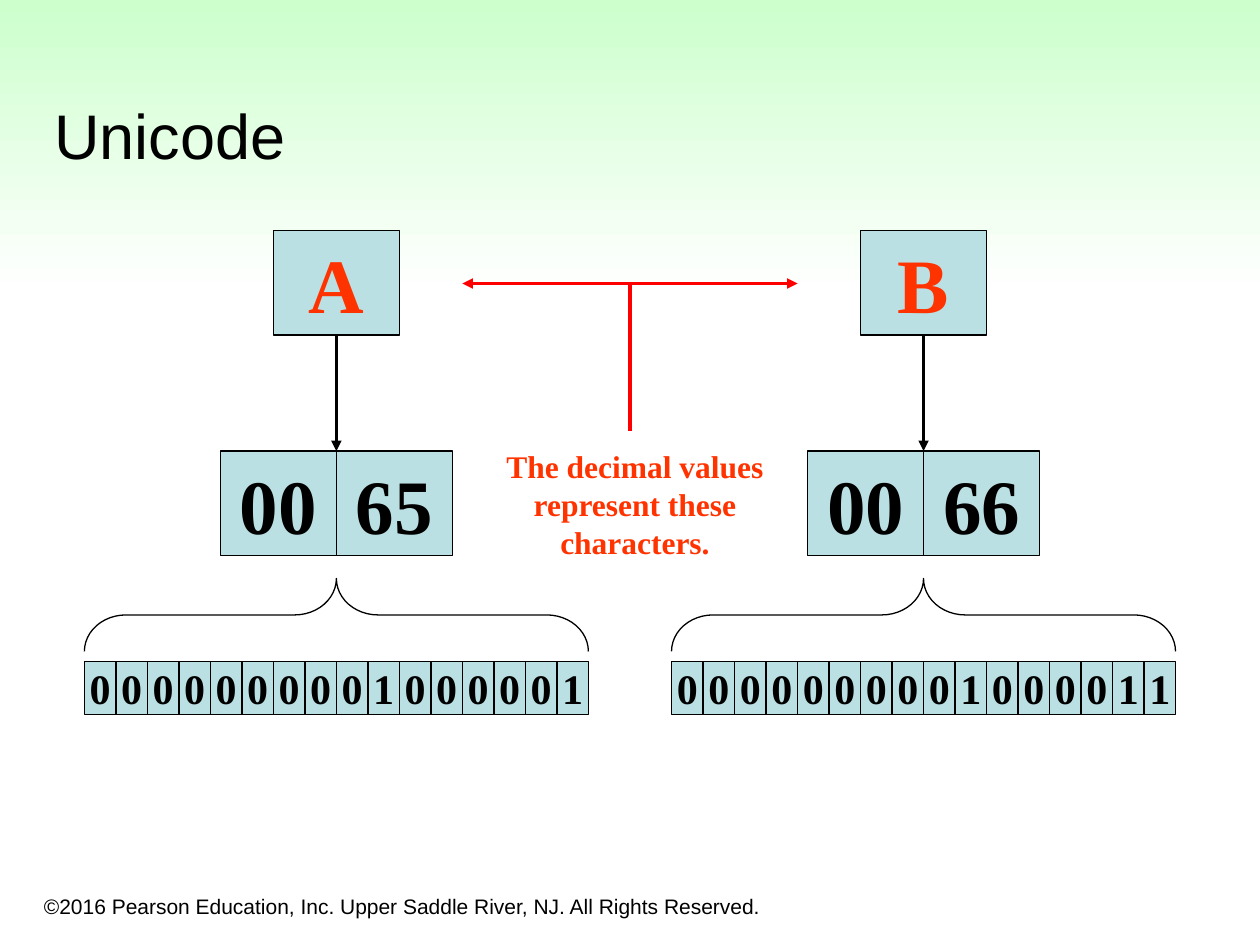
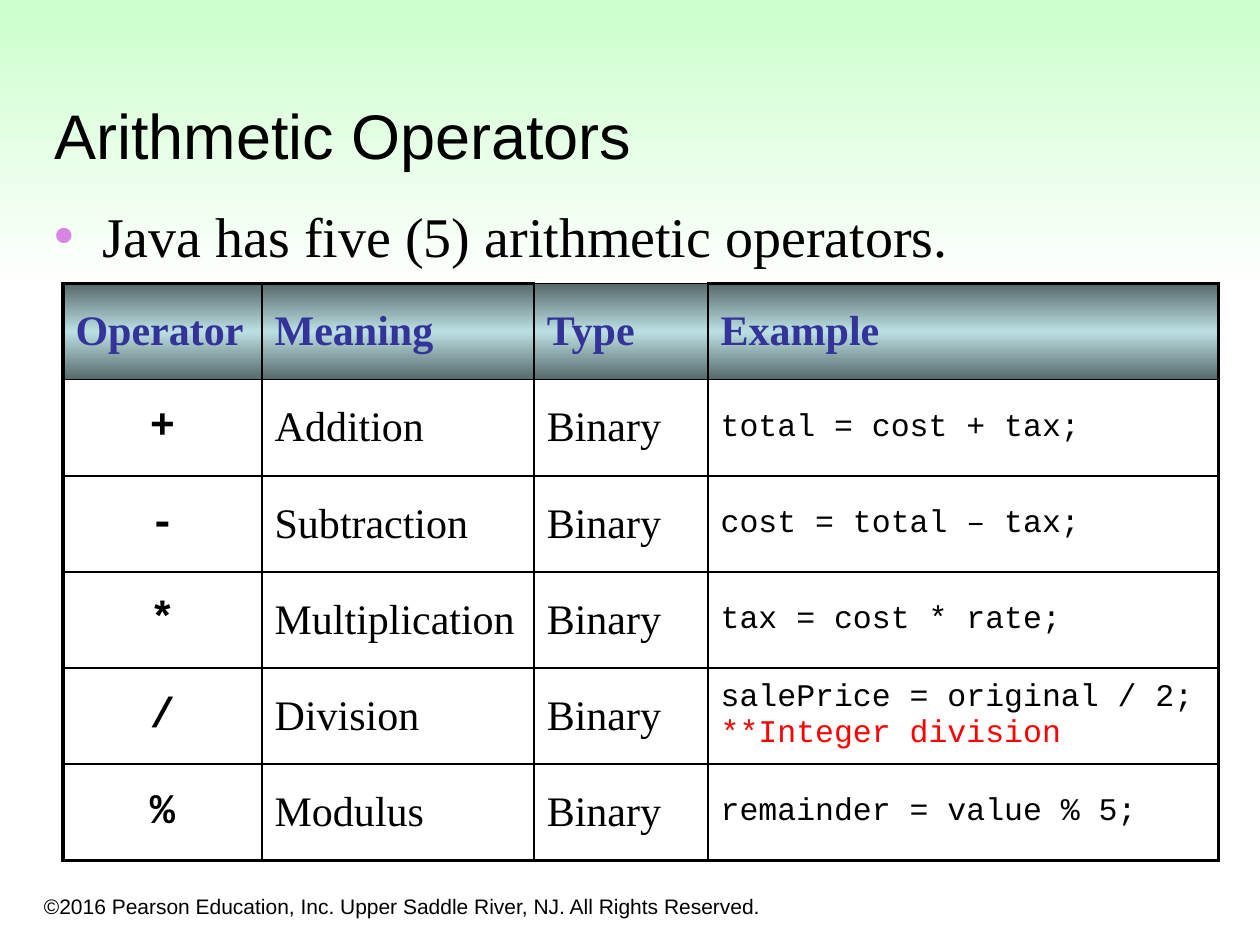
from copy import deepcopy
from dataclasses import dataclass

from lxml import etree
from pptx import Presentation
from pptx.dml.color import RGBColor
from pptx.enum import shapes, text
from pptx.oxml.ns import qn
from pptx.util import Inches, Pt

# Shared colours and fonts
BLACK, RED, ORANGE = "000000", "FF0000", "FF3300"
TEAL, DARK_TEAL, INDIGO, ORCHID = "BBE0E3", "576869", "333399", "D885E3"
MINT, WHITE = "CCFFCC", "FFFFFF"
SANS, SERIF, MONO = "Arial", "Times New Roman", "Courier New"
LEFT, CENTER = text.PP_ALIGN.LEFT, text.PP_ALIGN.CENTER
TOP, MIDDLE, BOTTOM = (text.MSO_ANCHOR.TOP, text.MSO_ANCHOR.MIDDLE,
                       text.MSO_ANCHOR.BOTTOM)
COPYRIGHT = "©2016 Pearson Education, Inc. Upper Saddle River, NJ. All Rights Reserved."


@dataclass
class CodePoint:
    """One character with its two decimal bytes and sixteen bits."""
    char: str
    center: float
    decimals: tuple
    bits: str


@dataclass
class Operator:
    symbol: str
    meaning: str
    example: str


CODE_POINTS = [
    CodePoint("A", 2.67, ("00", "65"), "0000000001000001"),
    CodePoint("B", 7.33, ("00", "66"), "0000000001000011"),
]
OPERATORS = [
    Operator("+", "Addition", "total = cost + tax;"),
    Operator("-", "Subtraction", "cost = total – tax;"),
    Operator("*", "Multiplication", "tax = cost * rate;"),
    Operator("/", "Division", "salePrice = original / 2;\n**Integer division"),
    Operator("%", "Modulus", "remainder = value % 5;"),
]


# Helpers
def rgb(color: str) -> RGBColor:
    return RGBColor.from_string(color)


def box(*lengths: float) -> tuple:
    return tuple(Inches(n) for n in lengths)


def write(tf, content: str, *, size: float, font: str = SERIF, color: str = BLACK,
          bold: bool = False, align=LEFT, wrap: bool = True) -> None:
    """Fill a text frame, one paragraph for each line."""
    tf.word_wrap = wrap
    for i, line in enumerate(content.split("\n")):
        p = tf.add_paragraph() if i else tf.paragraphs[0]
        p.alignment = align
        p.space_before = Pt(0)
        r = p.add_run()
        r.text = line
        r.font.size, r.font.name, r.font.bold = Pt(size), font, bold
        r.font.color.rgb = rgb(color)


def add_text(slide, at: tuple, content: str, *, anchor=TOP, **fmt) -> None:
    tf = slide.shapes.add_textbox(*box(*at)).text_frame
    write(tf, content, **fmt)
    tf.vertical_anchor = anchor


def gradient(fill, parent, colors: list) -> None:
    """Vertical gradient with evenly spaced stops, top to bottom."""
    fill.gradient()
    fill.gradient_angle = 270
    stop_list = parent.find(".//" + qn("a:gsLst"))
    for _ in colors[2:]:
        stop_list.append(deepcopy(stop_list[0]))
    for i, (stop, color) in enumerate(zip(fill.gradient_stops, colors)):
        stop.position = i / (len(colors) - 1)
        stop.color.rgb = rgb(color)


def add_box(slide, at: tuple, content: str, size: float, color: str = BLACK):
    sp = slide.shapes.add_shape(shapes.MSO_SHAPE.RECTANGLE, *box(*at))
    sp.shadow.inherit = False
    sp.fill.solid()
    sp.fill.fore_color.rgb = rgb(TEAL)
    sp.line.color.rgb, sp.line.width = rgb(BLACK), Pt(0.75)
    tf = sp.text_frame
    tf.margin_left = tf.margin_right = tf.margin_top = tf.margin_bottom = 0
    tf.vertical_anchor = MIDDLE
    write(tf, content, size=size, color=color, bold=True, align=CENTER, wrap=False)
    return sp


def add_line(slide, ends: tuple, color: str, width: float, arrows: tuple = ()):
    """Straight line; arrows may hold headEnd and tailEnd."""
    line = slide.shapes.add_connector(shapes.MSO_CONNECTOR.STRAIGHT, *box(*ends))
    line.line.color.rgb, line.line.width = rgb(color), Pt(width)
    for end in arrows:
        etree.SubElement(line.line._get_or_add_ln(), qn(f"a:{end}"), type="triangle")
    etree.SubElement(line._element.spPr, qn("a:effectLst"))
    return line


def place(holder, at: tuple, anchor):
    holder.left, holder.top, holder.width, holder.height = box(*at)
    tf = holder.text_frame
    tf.auto_size = text.MSO_AUTO_SIZE.NONE
    tf.vertical_anchor = anchor
    return tf


def new_slide(prs, layout: int, title: str):
    """Slide with the green band, title and copyright line."""
    slide = prs.slides.add_slide(prs.slide_layouts[layout])
    band = slide.shapes.add_shape(shapes.MSO_SHAPE.RECTANGLE, *box(0, 0, 10, 2.32))
    band.shadow.inherit = False
    band.line.fill.background()
    gradient(band.fill, band._element.spPr, [MINT, WHITE])
    slide.shapes._spTree.insert(2, band._element)
    tf = place(slide.shapes.title, (0.33, 0.33, 9.42, 1.09), BOTTOM)
    write(tf, title, size=36, font=SANS)
    add_text(slide, (0.25, 6.92, 6.08, 0.42), COPYRIGHT, anchor=BOTTOM,
             size=12, font=SANS)
    return slide


# Slide 1: characters, decimal bytes and bits
def add_code_point(slide, cp: CodePoint) -> None:
    letter = add_box(slide, (cp.center - 0.5, 1.83, 1, 0.83), cp.char, 44, ORANGE)
    for i, value in enumerate(cp.decimals):
        add_box(slide, (cp.center + (i - 1) * 0.92, 3.58, 0.92, 0.83), value, 44)
    arrow = add_line(slide, (cp.center, 2.67, cp.center, 3.58), BLACK, 1.5,
                     ("tailEnd",))
    arrow.begin_connect(letter, 2)
    for i, bit in enumerate(cp.bits):
        add_box(slide, (cp.center - 2 + i * 0.25, 5.25, 0.25, 0.42), bit, 24)
    brace = slide.shapes.add_shape(shapes.MSO_SHAPE.RIGHT_BRACE,
                                   *box(cp.center - 0.29, 2.88, 0.58, 4))
    brace.rotation = 270
    brace.adjustments[0], brace.adjustments[1] = 0.57, 0.5
    brace.shadow.inherit = False
    brace.fill.background()
    brace.line.color.rgb, brace.line.width = rgb(BLACK), Pt(0.75)


def unicode_slide(prs) -> None:
    slide = new_slide(prs, 5, "Unicode")
    for cp in CODE_POINTS:
        add_code_point(slide, cp)
    add_text(slide, (3.92, 3.5, 2.24, 1),
             "The decimal values\nrepresent these\ncharacters.",
             size=18, color=ORANGE, bold=True, align=CENTER, wrap=False)
    add_line(slide, (5, 2.25, 5, 3.42), RED, 2)
    add_line(slide, (3.67, 2.25, 6.33, 2.25), RED, 2, ("headEnd", "tailEnd"))


# Slide 2: operator table
def add_borders(cell, thick: dict) -> None:
    """Black cell borders, heavier on the sides marked thick."""
    tc_pr = cell._tc.get_or_add_tcPr()
    for side in "LRTB":
        width = Pt(2.25 if thick[side] else 1)
        ln = etree.SubElement(tc_pr, qn(f"a:ln{side}"), w=str(width))
        fill = etree.SubElement(ln, qn("a:solidFill"))
        etree.SubElement(fill, qn("a:srgbClr"), val=BLACK)


def add_operator_table(slide) -> None:
    columns = {"Operator": 1.58, "Meaning": 2.16, "Type": 1.38, "Example": 4.05}
    rows = [tuple(columns)]
    rows += [(op.symbol, op.meaning, "Binary", op.example) for op in OPERATORS]
    body_formats = [
        dict(size=24, font=MONO, bold=True, align=CENTER),
        dict(size=24), dict(size=24),
        dict(size=18, font=MONO),
    ]
    table = slide.shapes.add_table(len(rows), len(columns),
                                   *box(0.5, 2.25, 9.17, 4.58)).table
    table.first_row = table.horz_banding = False
    for column, width in zip(table.columns, columns.values()):
        column.width = Inches(width)
    last_row, last_col = len(rows) - 1, len(columns) - 1
    for i, values in enumerate(rows):
        for j, value in enumerate(values):
            cell = table.cell(i, j)
            cell.vertical_anchor = MIDDLE
            add_borders(cell, {"L": j == 0, "R": j == last_col,
                               "T": i == 0 and value != "Type", "B": i == last_row})
            if i == 0:
                gradient(cell.fill, cell._tc.tcPr, [DARK_TEAL, TEAL, DARK_TEAL])
                write(cell.text_frame, value, size=24, color=INDIGO, bold=True)
            else:
                cell.fill.background()
                write(cell.text_frame, value, **body_formats[j])
            for remark in cell.text_frame.paragraphs[1:]:
                remark.runs[0].font.color.rgb = rgb(RED)


def operators_slide(prs) -> None:
    slide = new_slide(prs, 1, "Arithmetic Operators")
    tf = place(slide.placeholders[1], (0.33, 1.5, 9.07, 5), TOP)
    tf.margin_right, tf.margin_top = 0, Inches(0.1)
    write(tf, "Java has five (5) arithmetic operators.", size=32)
    p_pr = tf.paragraphs[0]._p.get_or_add_pPr()
    p_pr.set("marL", str(Inches(0.38)))
    p_pr.set("indent", str(Inches(-0.38)))
    bullet_color = etree.SubElement(p_pr, qn("a:buClr"))
    etree.SubElement(bullet_color, qn("a:srgbClr"), val=ORCHID)
    etree.SubElement(p_pr, qn("a:buChar"), char="•")
    add_operator_table(slide)


def main() -> None:
    prs = Presentation()
    prs.slide_width, prs.slide_height = box(10, 7.5)
    unicode_slide(prs)
    operators_slide(prs)
    prs.save("out.pptx")


if __name__ == "__main__":
    main()
